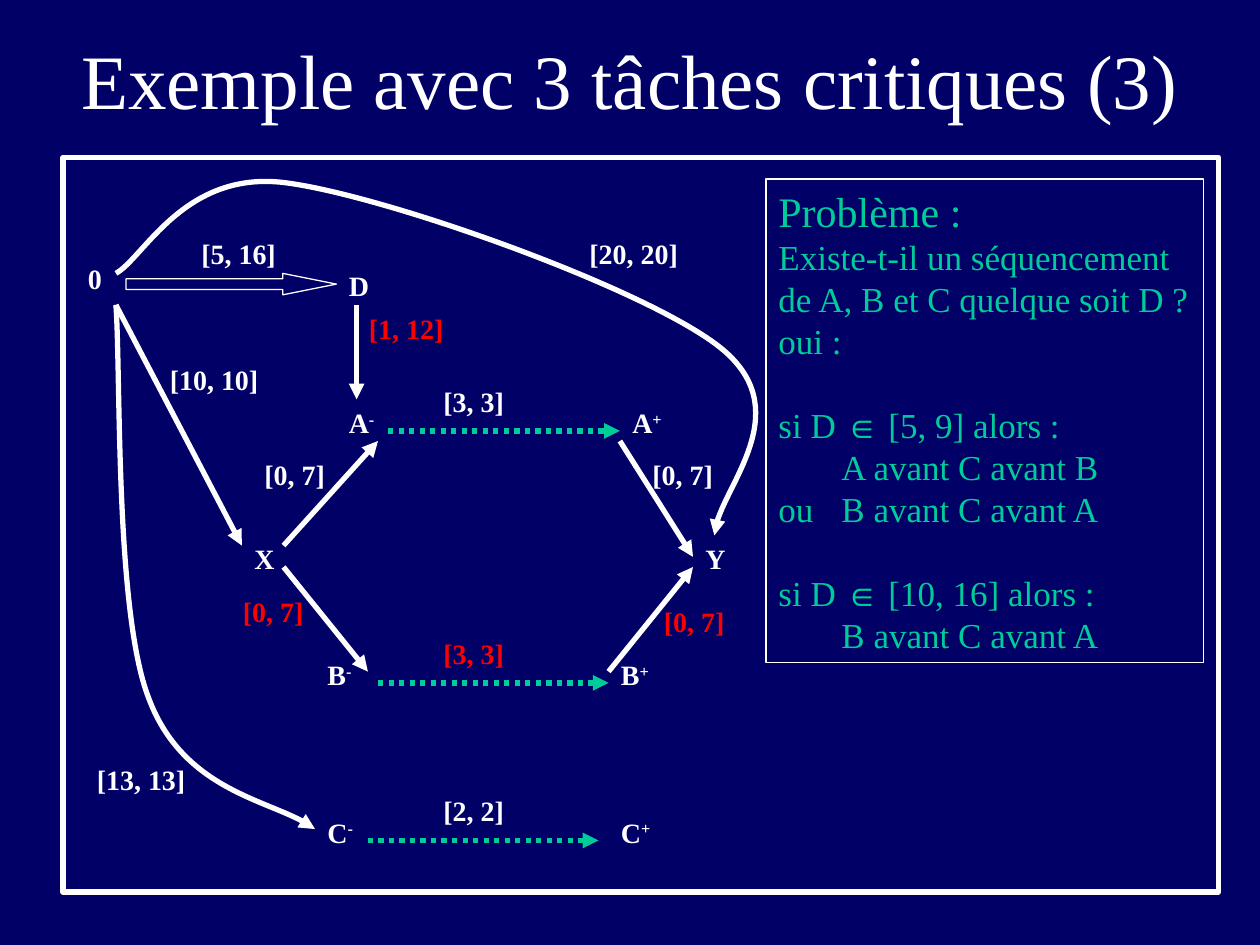
from lxml.etree import SubElement
from pptx import Presentation
from pptx.dml.color import RGBColor
from pptx.enum.dml import MSO_LINE
from pptx.enum.shapes import MSO_CONNECTOR, MSO_SHAPE
from pptx.enum.text import MSO_ANCHOR, MSO_AUTO_SIZE, PP_ALIGN
from pptx.oxml.ns import qn
from pptx.util import Inches, Pt

COLOURS = {
    "background": "000066",
    "white": "FFFFFF",
    "red": "FF0000",
    "green": "00CC99",
}
SERIF = "Times New Roman"

# Node name, superscript, left, top
NODES = [
    ("0", "", 0.6, 2.03),
    ("D", "", 2.67, 2.08),
    ("X", "", 1.92, 4.25),
    ("Y", "", 5.5, 4.25),
    ("A", "-", 2.67, 3.17),
    ("A", "+", 4.92, 3.17),
    ("B", "-", 2.5, 5.17),
    ("B", "+", 4.83, 5.17),
    ("C", "-", 2.5, 6.42),
    ("C", "+", 4.83, 6.42),
]

# Interval, left, top, width, colour
INTERVALS = [
    ("[5, 16]", 1.5, 1.83, 0.9, "white"),
    ("[20, 20]", 4.58, 1.83, 0.92, "white"),
    ("[1, 12]", 2.83, 2.42, 1, "red"),
    ("[10, 10]", 1.25, 2.83, 1, "white"),
    ("[3, 3]", 3.42, 3, 0.75, "white"),
    ("[0, 7]", 2, 3.58, 0.75, "white"),
    ("[0, 7]", 5.08, 3.58, 0.75, "white"),
    ("[0, 7]", 1.83, 4.67, 0.75, "red"),
    ("[0, 7]", 5.17, 4.75, 0.75, "red"),
    ("[3, 3]", 3.42, 5, 0.75, "red"),
    ("[13, 13]", 0.67, 6, 0.92, "white"),
    ("[2, 2]", 3.42, 6.25, 0.75, "white"),
]

# Start and end of each constraint arrow
CONSTRAINTS = [
    ((2.83, 2.42), (2.83, 3.17)),
    ((0.92, 2.42), (1.92, 4.33)),
    ((2.25, 4.33), (3, 3.5)),
    ((2.25, 4.5), (2.92, 5.33)),
    ((4.92, 3.5), (5.5, 4.42)),
    ((4.83, 5.33), (5.5, 4.5)),
]

# Start and end of each task arrow
TASKS = [
    ((3.08, 3.42), (4.92, 3.42)),
    ((3, 5.42), (4.83, 5.42)),
    ((2.92, 6.67), (4.75, 6.67)),
]

# Start point, then three Bézier points for each curve segment
CURVE_TO_C = [
    (0.92, 2.42),
    (0.96, 2.94), (0.91, 4.85), (1.18, 5.54),
    (1.44, 6.24), (2.22, 6.37), (2.5, 6.58),
]
CURVE_TO_Y = [
    (0.92, 2.17),
    (1.14, 2.05), (1.46, 1.35), (2.26, 1.45),
    (3.06, 1.55), (5.16, 2.3), (5.73, 2.77),
    (6.3, 3.24), (5.68, 3.94), (5.67, 4.25),
]

# Line of text, size, space before
PROBLEM = [
    ("Problème :", 24, 0),
    ("Existe-t-il un séquencement", 20, 0),
    ("de A, B et C quelque soit D ?", 20, 0),
    ("oui :", 20, 0),
    ("si D ∈ [5, 9] alors :", 20, 24),
    ("\tA avant C avant B", 20, 0),
    ("ou\tB avant C avant A", 20, 0),
    ("si D ∈ [10, 16] alors :", 20, 24),
    ("\tB avant C avant A", 20, 0),
]


def colour(name):
    return RGBColor.from_string(COLOURS[name])


def set_font(font, size, colour_name, bold=False):
    font.name = SERIF
    font.size = Pt(size)
    font.bold = bold
    font.color.rgb = colour(colour_name)


def set_line(item, colour_name, width):
    item.line.color.rgb = colour(colour_name)
    item.line.width = Pt(width)


def add_arrowhead(item):
    outline = item._element.spPr.find(qn("a:ln"))
    SubElement(outline, qn("a:tailEnd"), type="triangle")


def add_title(page, text):
    title = page.shapes.title
    title.left, title.top = Inches(0.5), Inches(0)
    title.width, title.height = Inches(9), Inches(1.25)
    frame = title.text_frame
    frame.text = text
    frame.auto_size = MSO_AUTO_SIZE.NONE
    frame.vertical_anchor = MSO_ANCHOR.MIDDLE
    para = frame.paragraphs[0]
    para.alignment = PP_ALIGN.CENTER
    set_font(para.font, 44, "white")


def add_outline(page, kind, left, top, width, height, line_width):
    shape = page.shapes.add_shape(
        kind, Inches(left), Inches(top), Inches(width), Inches(height))
    shape.shadow.inherit = False
    shape.fill.background()
    set_line(shape, "white", line_width)
    return shape


def add_label(page, text, left, top, width, colour_name="white", power=""):
    box = page.shapes.add_textbox(
        Inches(left), Inches(top), Inches(width), Inches(0.5))
    box.text_frame.word_wrap = True
    para = box.text_frame.paragraphs[0]
    para.add_run().text = text
    if power:
        span = para.add_run()
        span.text = power
        span._r.get_or_add_rPr().set("baseline", "30000")
    set_font(para.font, 16, colour_name, bold=True)


def add_arrow(page, start, end, colour_name, dash=None):
    arrow = page.shapes.add_connector(
        MSO_CONNECTOR.STRAIGHT, *(Inches(value) for value in start + end))
    set_line(arrow, colour_name, 3)
    if dash:
        arrow.line.dash_style = dash
    add_arrowhead(arrow)
    SubElement(arrow._element.spPr, qn("a:effectLst"))


def add_curve(page, points):
    start, *others = [(Inches(x), Inches(y)) for x, y in points]
    builder = page.shapes.build_freeform(*start)
    builder.add_line_segments(others, close=False)
    curve = builder.convert_to_shape()
    # Turn every three straight segments into one Bézier segment
    outline = next(curve._element.iter(qn("a:path")))
    segments = outline.findall(qn("a:lnTo"))
    for first in range(0, len(segments), 3):
        bezier = SubElement(outline, qn("a:cubicBezTo"))
        for segment in segments[first:first + 3]:
            bezier.append(segment[0])
            outline.remove(segment)
    curve.shadow.inherit = False
    curve.fill.background()
    set_line(curve, "white", 3)
    add_arrowhead(curve)


def add_problem(page):
    box = add_outline(page, MSO_SHAPE.RECTANGLE, 6.08, 1.42, 3.47, 3.84, 0.75)
    frame = box.text_frame
    frame.word_wrap = True
    frame.vertical_anchor = MSO_ANCHOR.TOP
    for number, (text, size, gap) in enumerate(PROBLEM):
        para = frame.add_paragraph() if number else frame.paragraphs[0]
        para.alignment = PP_ALIGN.LEFT
        para.space_before = Pt(gap)
        before, symbol, after = text.partition("∈")
        for part in filter(None, (before, symbol, after)):
            span = para.add_run()
            span.text = part
            if part == symbol:
                span.font.name = "Arial"
        set_font(para.font, size, "green")


def main():
    deck = Presentation()
    deck.slide_width, deck.slide_height = Inches(10), Inches(7.5)
    page = deck.slides.add_slide(deck.slide_layouts[5])
    page.background.fill.solid()
    page.background.fill.fore_color.rgb = colour("background")

    # Title, frame and problem statement
    add_title(page, "Exemple avec 3 tâches critiques (3)")
    add_outline(page, MSO_SHAPE.RECTANGLE, 0.5, 1.25, 9.17, 5.83, 3)
    add_problem(page)

    # Arrows of the constraint graph
    block_arrow = add_outline(
        page, MSO_SHAPE.RIGHT_ARROW, 1, 2.17, 1.67, 0.17, 0.75)
    block_arrow.adjustments[1] = 2.5
    for start, end in CONSTRAINTS:
        add_arrow(page, start, end, "white")
    for start, end in TASKS:
        add_arrow(page, start, end, "green", MSO_LINE.ROUND_DOT)
    for points in (CURVE_TO_C, CURVE_TO_Y):
        add_curve(page, points)

    # Nodes and intervals
    for name, power, left, top in NODES:
        add_label(page, name, left, top, 0.5, power=power)
    for text, left, top, width, colour_name in INTERVALS:
        add_label(page, text, left, top, width, colour_name)

    deck.save("out.pptx")


if __name__ == "__main__":
    main()
